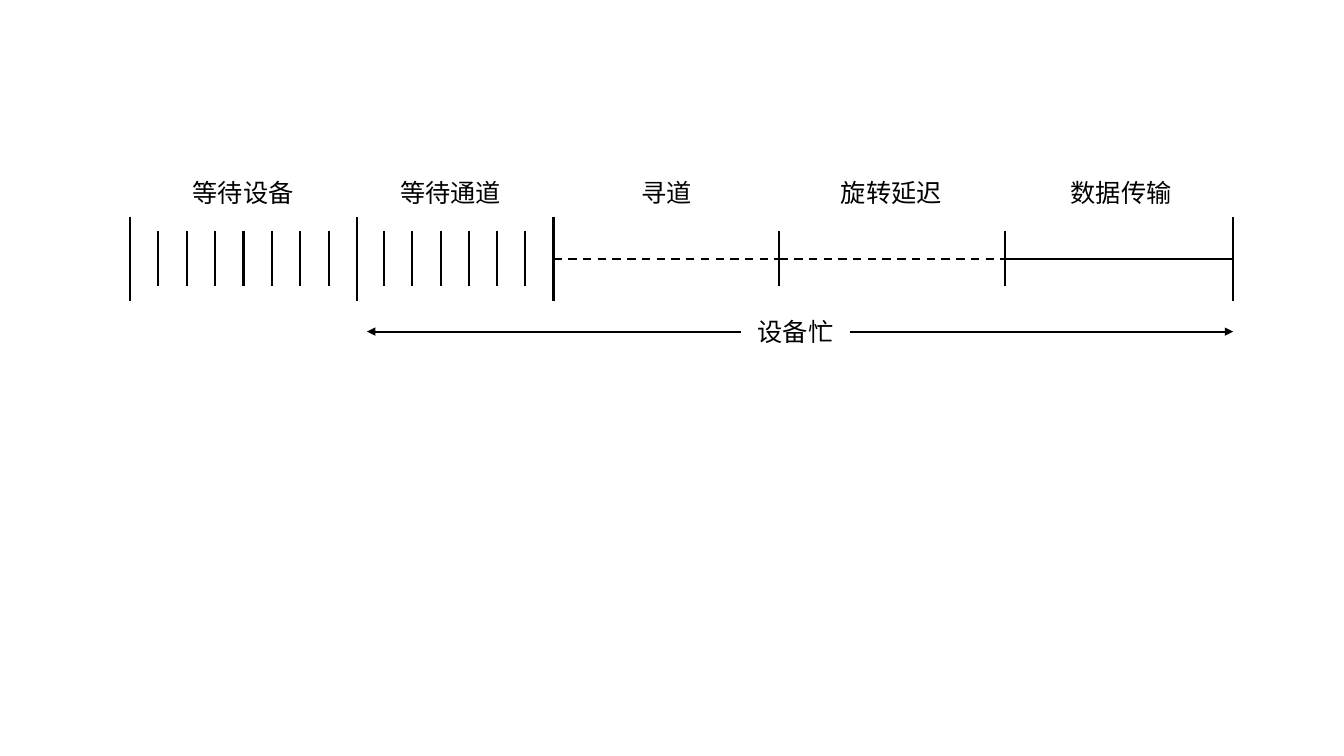
from dataclasses import dataclass

from pptx import Presentation
from pptx.dml.color import RGBColor
from pptx.enum.dml import MSO_LINE
from pptx.enum.shapes import MSO_CONNECTOR, MSO_SHAPE
from pptx.enum.text import MSO_ANCHOR, MSO_AUTO_SIZE, PP_ALIGN
from pptx.oxml.ns import qn
from pptx.oxml.xmlchemy import OxmlElement
from pptx.util import Inches, Pt

STRAIGHT = MSO_CONNECTOR.STRAIGHT
RECTANGLE = MSO_SHAPE.RECTANGLE
DASH = MSO_LINE.DASH
CENTER = PP_ALIGN.CENTER
MIDDLE = MSO_ANCHOR.MIDDLE
GROW = MSO_AUTO_SIZE.SHAPE_TO_FIT_TEXT


@dataclass(frozen=True)
class Theme:
    ink: RGBColor = RGBColor(0x00, 0x00, 0x00)
    paper: RGBColor = RGBColor(0xFF, 0xFF, 0xFF)
    font: str = "Noto Sans CJK SC"
    text_size: Pt = Pt(18)
    line_width: Pt = Pt(1.5)


THEME = Theme()

# Timeline geometry in inches
AXIS_Y = 2.57
TALL_TICK = (2.15, 2.99)
SHORT_TICK = (2.29, 2.84)
START, CHANNEL, SEEK, ROTATION, TRANSFER, END = 1.29, 3.54, 5.49, 7.73, 9.97, 12.23
BUSY_START, BUSY_Y = 3.64, 3.29
LABEL_TOP, LABEL_WIDTH, LABEL_HEIGHT = 1.71, 1.32, 0.4
PHASE_LABELS = [
    ("等待设备", 1.75),
    ("等待通道", 3.81),
    ("寻道", 5.95),
    ("旋转延迟", 8.18),
    ("数据传输", 10.46),
]


def add_line(slide, start_x, start_y, end_x, end_y, dash=None, arrows=False):
    connector = slide.shapes.add_connector(
        STRAIGHT, Inches(start_x), Inches(start_y), Inches(end_x), Inches(end_y)
    )
    connector.line.color.rgb = THEME.ink
    connector.line.width = THEME.line_width
    if dash is not None:
        connector.line.dash_style = dash
    if arrows:
        line_element = connector.line._get_or_add_ln()
        for end_tag in ("a:headEnd", "a:tailEnd"):
            arrowhead = OxmlElement(end_tag)
            arrowhead.set("type", "triangle")
            line_element.append(arrowhead)
    connector._element.spPr.append(OxmlElement("a:effectLst"))


def add_tick(slide, x, span):
    top, bottom = span
    add_line(slide, x, top, x, bottom)


def add_waiting_ticks(slide, first_x, last_x, count):
    step = (last_x - first_x) / (count - 1)
    for index in range(count):
        add_tick(slide, first_x + index * step, SHORT_TICK)


def write_label(shape, text):
    frame = shape.text_frame
    frame.word_wrap = True
    frame.auto_size = GROW
    paragraph = frame.paragraphs[0]
    paragraph.text = text
    paragraph.alignment = CENTER
    paragraph.font.name = THEME.font
    paragraph.font.size = THEME.text_size
    paragraph.font.color.rgb = THEME.ink
    # Chinese characters use the East Asian font slot
    east_asian = OxmlElement("a:ea")
    east_asian.set("typeface", THEME.font)
    latin = paragraph._p.pPr.find(qn("a:defRPr")).find(qn("a:latin"))
    latin.addnext(east_asian)


def add_phase_label(slide, text, left):
    box = slide.shapes.add_textbox(
        Inches(left), Inches(LABEL_TOP), Inches(LABEL_WIDTH), Inches(LABEL_HEIGHT)
    )
    write_label(box, text)


def add_busy_label(slide, text):
    shape = slide.shapes.add_shape(
        RECTANGLE, Inches(7.35), Inches(3.09), Inches(1.08), Inches(LABEL_HEIGHT)
    )
    shape.shadow.inherit = False
    shape.fill.solid()
    shape.fill.fore_color.rgb = THEME.paper
    shape.line.fill.background()
    shape.text_frame.vertical_anchor = MIDDLE
    write_label(shape, text)


def main():
    presentation = Presentation()
    presentation.slide_width = Inches(13.33)
    presentation.slide_height = Inches(7.5)
    slide = presentation.slides.add_slide(presentation.slide_layouts[6])

    # Waiting phases
    add_waiting_ticks(slide, 1.57, 3.26, 7)
    add_waiting_ticks(slide, 3.81, 5.21, 6)

    # Phase boundaries
    for x in (START, CHANNEL, SEEK, END):
        add_tick(slide, x, TALL_TICK)
    for x in (ROTATION, TRANSFER):
        add_tick(slide, x, SHORT_TICK)

    # Seek, rotation and transfer
    add_line(slide, SEEK, AXIS_Y, ROTATION, AXIS_Y, dash=DASH)
    add_line(slide, ROTATION, AXIS_Y, TRANSFER, AXIS_Y, dash=DASH)
    add_line(slide, TRANSFER, AXIS_Y, END, AXIS_Y)

    # Device busy span
    add_line(slide, BUSY_START, BUSY_Y, END, BUSY_Y, arrows=True)
    add_busy_label(slide, "设备忙")

    # Phase names
    for text, left in PHASE_LABELS:
        add_phase_label(slide, text, left)

    presentation.save("out.pptx")


if __name__ == "__main__":
    main()
